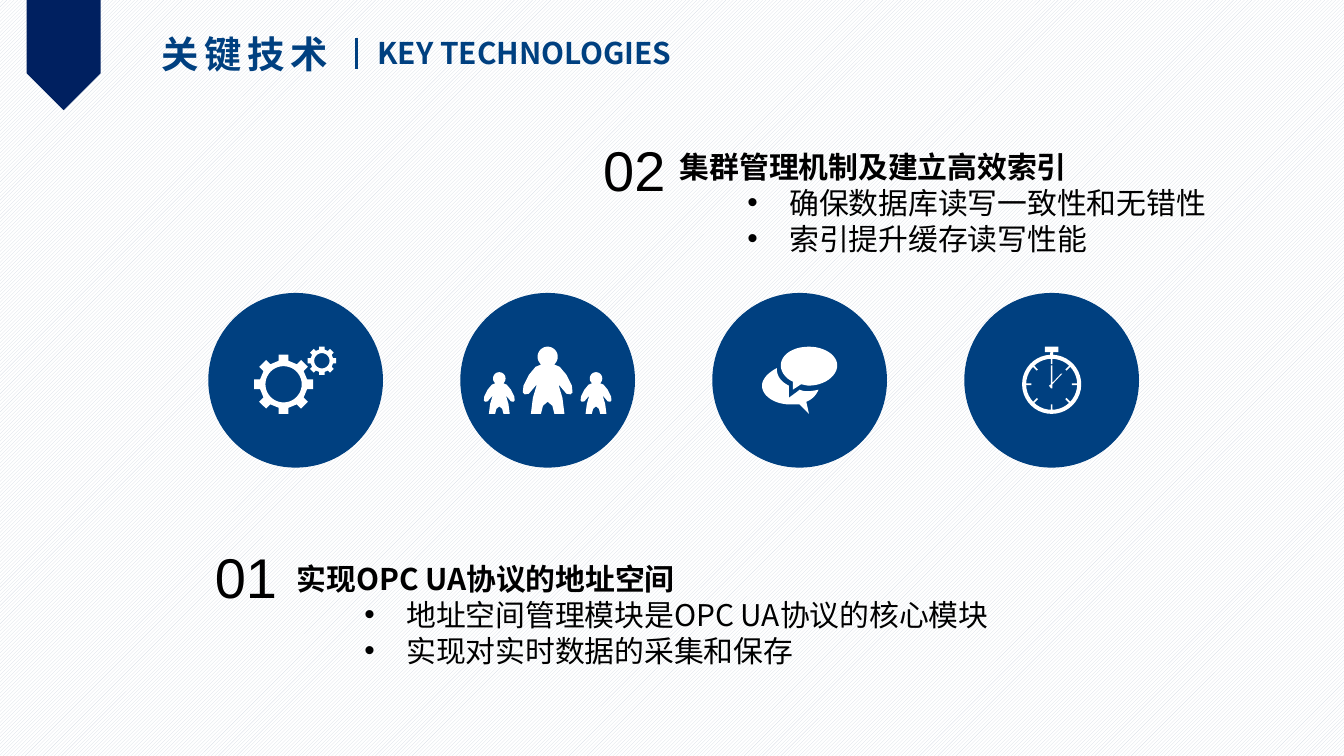
import math

import pptx
import pptx.dml.color
import pptx.enum.dml
import pptx.enum.shapes
import pptx.enum.text
import pptx.oxml
import pptx.oxml.ns
import pptx.util

RGB = pptx.dml.color.RGBColor
BLUE = RGB(0x00, 0x40, 0x80)
NAVY = RGB(0x00, 0x20, 0x60)
BLACK = RGB(0x00, 0x00, 0x00)
WHITE = RGB(0xFF, 0xFF, 0xFF)
HATCH = RGB(0xD6, 0xDC, 0xE5)
SHAPE = pptx.enum.shapes.MSO_SHAPE
CJK = "Noto Sans CJK SC"

# The grid has 100 columns across the 16:9 slide; its cells are square
COLS, ROWS = 100, 56.25
CELL = pptx.util.Inches(0.1)


def grid(*ns):
    return [pptx.util.Emu(round(n * CELL)) for n in ns]


def add_shape(shapes, kind, box, color):
    sp = shapes.add_shape(kind, *grid(*box))
    sp.shadow.inherit = False
    sp.fill.solid()
    sp.fill.fore_color.rgb = color
    sp.line.fill.background()
    return sp


def add_text(s, box, text, size, color=BLACK, font=CJK, bold=False,
             spacing=0, first_line=1, bullets=(), wrap=False):
    """Text box with a lead line and optional bullets below it."""
    tf = s.shapes.add_textbox(*grid(*box)).text_frame
    tf.word_wrap = wrap
    tf.auto_size = pptx.enum.text.MSO_AUTO_SIZE.SHAPE_TO_FIT_TEXT
    for i, line in enumerate((text, *bullets)):
        p = tf.add_paragraph() if i else tf.paragraphs[0]
        r = p.add_run()
        r.text = line
        r.font.size = pptx.util.Pt(size)
        r.font.name = font
        r.font.bold = bold and i == 0
        r.font.color.rgb = color
        rPr = r.font._element
        rPr.find(pptx.oxml.ns.qn("a:latin")).addnext(pptx.oxml.parse_xml(
            f'<a:ea {pptx.oxml.ns.nsdecls("a")} typeface="{font}"/>'))
        if spacing:
            rPr.set("spc", str(spacing * 100))
        if i == 0:
            p.line_spacing = first_line
        else:
            p.level = 1
            pPr = p._p.get_or_add_pPr()
            indent, hang = grid(8.15, 3.13)
            pPr.set("marL", str(indent))
            pPr.set("indent", str(-hang))
            for tag in ('buFont typeface="Arial"', 'buChar char="•"'):
                pPr.append(pptx.oxml.parse_xml(
                    f'<a:{tag} {pptx.oxml.ns.nsdecls("a")}/>'.replace(
                        f'<a:{tag}', f'<a:{tag}')))
    return tf


# Outlines: each is a list of points in grid cells

def circle(cx, cy, radius, start=0, stop=360, n=40):
    angles = [math.radians(start + (stop - start) * i / n) for i in range(n + 1)]
    return [(cx + radius * math.cos(a), cy + radius * math.sin(a)) for a in angles]


def gear(cx, cy, tip, root, hole, half_tooth):
    """Eight straight teeth around a ring."""
    pts = []
    for k in range(8):
        a = math.radians(45 * k)
        for radius, side in ((root, -1), (tip, -1), (tip, 1), (root, 1)):
            w = side * half_tooth
            pts.append((cx + radius * math.cos(a) - w * math.sin(a),
                        cy + radius * math.sin(a) + w * math.cos(a)))
    return [pts, circle(cx, cy, hole)]


def person(cx, top, k):
    """Half a figure, mirrored; k scales it."""
    half = circle(0, 0.75, 0.75, -90, 50, 14) + [
        (0.9, 1.5), (1.4, 2.1), (1.8, 2.9), (1.85, 3.4), (1.7, 3.55), (1.4, 3.5),
        (0.8, 2.8), (1.1, 3.8), (1.25, 5), (0.5, 5), (0.35, 4.4), (0, 4.1)]
    whole = half + [(-x, y) for x, y in reversed(half)]
    return [(cx + k * x, top + k * y) for x, y in whole]


def curve(*steps):
    """Points along steps: two numbers draw a line, six a cubic curve."""
    pts = [steps[0]]
    for step in steps[1:]:
        if len(step) == 2:
            pts.append(step)
            continue
        (x0, y0), (x1, y1, x2, y2, x3, y3) = pts[-1], step
        for i in range(1, 13):
            t = i / 12
            u = 1 - t
            a, b, c, d = u ** 3, 3 * u * u * t, 3 * u * t * t, t ** 3
            pts.append((a * x0 + b * x1 + c * x2 + d * x3,
                        a * y0 + b * y1 + c * y2 + d * y3))
    return pts


def gears():
    return gear(2.15, 2.8, 2.2, 1.75, 1.35, 0.36) + gear(5, 1.05, 1.05, 0.83, 0.57, 0.2)


def people():
    return [person(1.25, 1.9, 0.62), person(4.85, 0, 1), person(8.45, 1.9, 0.62)]


def bubbles():
    back = curve((2.8, 3.2), (2.7, 3.3, 2, 3.8, 2, 3.8), (2, 2.9),
                 (1.4, 2.6, 1.1, 2.2, 1.1, 1.6), (0.5, 1.9, 0, 2.4, 0, 2.9),
                 (0, 3.7, 1, 4.3, 2.1, 4.3), (2.4, 4.3, 2.6, 4.3, 2.8, 4.3),
                 (3.5, 5), (3.3, 4.1), (3.8, 3.9, 4.1, 3.5, 4.2, 3.2),
                 (3.8, 3.3, 3.2, 3.4, 2.8, 3.2))
    front = curve((3.5, 0), (2.3, 0, 1.4, 0.6, 1.4, 1.4),
                  (1.4, 1.9, 1.8, 2.4, 2.3, 2.6), (2.3, 3.2), (2.9, 2.8),
                  (3, 2.8, 3.3, 2.9, 3.5, 2.9), (4.6, 2.9, 5.6, 2.2, 5.6, 1.4),
                  (5.6, 0.6, 4.6, 0, 3.5, 0))
    return [back, front]


def stopwatch():
    cx, cy = 2.2, 2.8
    crown = [(2.3, 0.4), (2.7, 0.4), (2.7, 0), (1.7, 0), (1.7, 0.4), (2.1, 0.4)]
    hands = [(2.25, 1.4), (2.15, 1.4), (2.15, 2.8), (2, 2.9), (2.15, 3.1),
             (2.25, 3.1), (2.25, 2.8), (3, 2), (2.9, 2), (2.25, 2.7)]
    ticks = []
    for k in range(8):
        a = math.radians(45 * k)
        dx, dy = 0.06 * math.sin(a), 0.06 * math.cos(a)
        ticks.append([(cx + d * math.cos(a) + w * dx, cy + d * math.sin(a) - w * dy)
                      for d, w in ((1.5, -1), (1.9, -1), (1.9, 1), (1.5, 1))])
    rim = circle(cx, cy, 2.2, -87, 267)
    return [rim + crown[::-1], circle(cx, cy, 1.9), hands] + ticks


def add_badge(s, box, icon_width, outlines):
    """Blue disc with a white icon in its middle."""
    left, top, width, _ = box
    shapes = s.shapes.add_group_shape().shapes
    add_shape(shapes, SHAPE.OVAL, box, BLUE)
    x0, y0 = left + (width - icon_width) / 2, top + 4
    placed = [[tuple(grid(x0 + x, y0 + y)) for x, y in pts] for pts in outlines]
    fb = shapes.build_freeform(*placed[0][0])
    for i, pts in enumerate(placed):
        if i:
            fb.move_to(*pts[0])
        fb.add_line_segments(pts[1:], close=True)
    sp = fb.convert_to_shape()
    sp.shadow.inherit = False
    sp.fill.solid()
    sp.fill.fore_color.rgb = WHITE
    sp.line.fill.background()


def add_header(s, left, top):
    ribbon = add_shape(s.shapes, SHAPE.PENTAGON, (left + 0.63, top + 1.35, 8.2, 5.5), NAVY)
    ribbon.rotation = 90
    add_text(s, (left + 11, top + 1.8, 14.8, 4.4), "关键技术", 20, BLUE,
             bold=True, spacing=3)
    add_text(s, (left + 27.1, top + 2.1, 24.6, 3.7), "KEY TECHNOLOGIES", 16, BLUE, bold=True)
    x, y = left + 26.5, top + 2.8
    ln = s.shapes.add_connector(pptx.enum.shapes.MSO_CONNECTOR.STRAIGHT,
                                *grid(x, y, x, y + 2.3))
    ln.line.color.rgb = BLUE
    ln.line.width = pptx.util.Pt(1.5)
    ln._element.spPr.append(pptx.oxml.parse_xml(
        f'<a:effectLst {pptx.oxml.ns.nsdecls("a")}/>'))


def add_badges(s, left, top, size, pitch):
    icons = ((6.1, gears()), (9.7, people()), (5.6, bubbles()), (4.4, stopwatch()))
    for i, (width, outlines) in enumerate(icons):
        add_badge(s, (left + i * pitch, top, size, size), width, outlines)


def add_point(s, box, number, number_at, title, bullets, **fmt):
    """Large number beside a bold title with bullets."""
    add_text(s, box, title, 16, bold=True, bullets=bullets, **fmt)
    add_text(s, (*number_at, 6.7, 6.1), number, 30, font="Arial")


def main():
    prs = pptx.Presentation()
    prs.slide_width, prs.slide_height = grid(COLS, ROWS)
    s = prs.slides.add_slide(prs.slide_layouts[6])

    # Hatched background
    fill = s.background.fill
    fill.patterned()
    fill.pattern = pptx.enum.dml.MSO_PATTERN.LIGHT_UPWARD_DIAGONAL
    fill.fore_color.rgb = HATCH
    fill.back_color.rgb = WHITE

    add_header(s, 0, 0)
    add_badges(s, 15.5, 21.8, 13, 18.75)
    add_point(s, (21.1, 39.9, 54.2, 10.4), "01", (15, 39.9), "实现OPC UA协议的地址空间",
              ("地址空间管理模块是OPC UA协议的核心模块", "实现对实时数据的采集和保存"),
              first_line=1.5, wrap=True)
    add_point(s, (49.6, 10.6, 41.2, 9.1), "02", (43.9, 9.6), "集群管理机制及建立高效索引",
              ("确保数据库读写一致性和无错性", "索引提升缓存读写性能"))
    prs.save("out.pptx")


if __name__ == "__main__":
    main()
